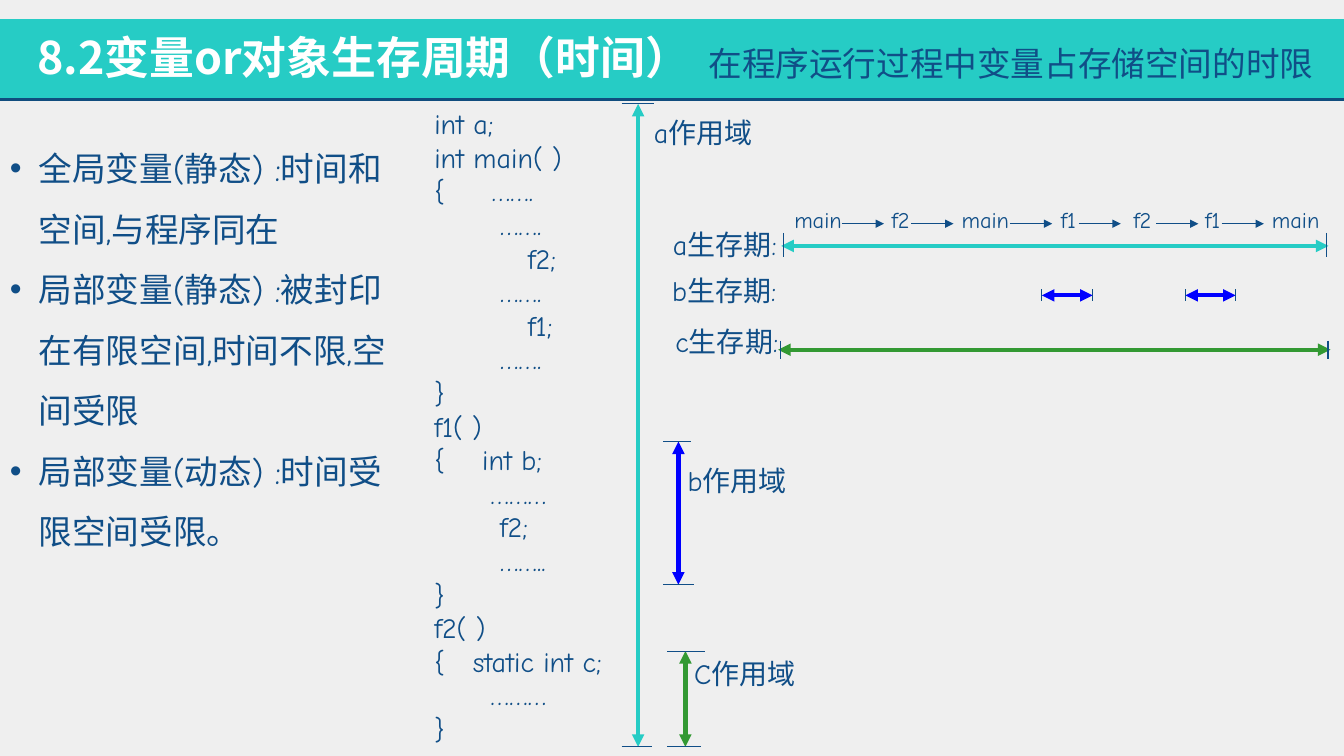
from dataclasses import dataclass

import lxml.etree
import pptx
import pptx.dml.color
import pptx.enum.shapes
import pptx.enum.text
import pptx.oxml.ns
import pptx.util

Pt = pptx.util.Pt
qn = pptx.oxml.ns.qn
ALIGN = pptx.enum.text.PP_ALIGN
ANCHOR = pptx.enum.text.MSO_ANCHOR


@dataclass(frozen=True)
class Theme:
    page: str = "EFEFEF"
    teal: str = "26CCC5"
    rule: str = "104D7E"
    ink: str = "104E87"
    white: str = "FFFFFF"
    blue: str = "0000FF"
    green: str = "339933"
    font: str = "Comic Neue"
    bold: str = "Noto Sans CJK JP"
    title: int = 32
    body: int = 24
    code: int = 20
    small: int = 16
    thin: float = 0.75
    thick: float = 3


def rgb(code):
    return pptx.dml.color.RGBColor.from_string(code)


class Board:
    def __init__(self, deck, theme):
        self.theme = theme
        self.slide = deck.slides.add_slide(deck.slide_layouts[6])
        fill = self.slide.background.fill
        fill.solid()
        fill.fore_color.rgb = rgb(theme.page)

    def rect(self, x, y, w, h, color):
        kind = pptx.enum.shapes.MSO_SHAPE.RECTANGLE
        box = self.slide.shapes.add_shape(kind, Pt(x), Pt(y), Pt(w), Pt(h))
        box.shadow.inherit = False
        box.fill.solid()
        box.fill.fore_color.rgb = rgb(color)
        box.line.fill.background()

    def line(self, x1, y1, x2, y2, color=None, width=None, ends=()):
        kind = pptx.enum.shapes.MSO_CONNECTOR.STRAIGHT
        link = self.slide.shapes.add_connector(kind, Pt(x1), Pt(y1), Pt(x2), Pt(y2))
        link.line.color.rgb = rgb(color or self.theme.ink)
        link.line.width = Pt(width or self.theme.thin)
        props = link._element.spPr
        for end in ends:
            lxml.etree.SubElement(props.find(qn("a:ln")), qn("a:" + end), type="triangle")
        lxml.etree.SubElement(props, qn("a:effectLst"))

    def span(self, x1, y1, x2, y2, color):
        self.line(x1, y1, x2, y2, color, self.theme.thick, ("headEnd", "tailEnd"))

    def text(self, text, x, y, w, h, size=20, color=None, font=None, bold=False,
             align=ALIGN.LEFT, anchor=ANCHOR.TOP, wrap=True, space=None, bullet=False):
        box = self.slide.shapes.add_textbox(Pt(x), Pt(y), Pt(w), Pt(h))
        frame = box.text_frame
        frame.word_wrap = wrap
        frame.vertical_anchor = anchor
        frame.text = text
        for para in frame.paragraphs:
            para.alignment = align
            if space:
                para.line_spacing = space
            if bullet:
                props = para._p.get_or_add_pPr()
                props.set("marL", str(Pt(20.6)))
                props.set("indent", str(-Pt(20.6)))
                lxml.etree.SubElement(props, qn("a:buFont"), typeface="Arial")
                lxml.etree.SubElement(props, qn("a:buChar"), char="•")
            for run in para.runs:
                name = font or self.theme.font
                run.font.size = Pt(size)
                run.font.bold = bold
                run.font.color.rgb = rgb(color or self.theme.ink)
                run.font.name = name
                lxml.etree.SubElement(run._r.get_or_add_rPr(), qn("a:ea"), typeface=name)

    def label(self, text, x, y, w, h, size, wrap=False):
        self.text(text, x, y, w, h, size=size, wrap=wrap,
                  align=ALIGN.CENTER, anchor=ANCHOR.MIDDLE)


POINTS = """全局变量(静态) :时间和空间,与程序同在
局部变量(静态) :被封印在有限空间,时间不限,空间受限
局部变量(动态) :时间受限空间受限。"""

CODE = """int a;
int main( )
{     …….
       …….
          f2;
       …….
          f1;
       …….
}
f1( )
{    int b;
      ………
       f2;
       ……..
}
f2( )
{   static int c;
      ………
}"""


def main():
    deck = pptx.Presentation()
    deck.slide_width, deck.slide_height = Pt(960), Pt(540)
    look = Theme()
    board = Board(deck, look)

    board.rect(0, 13.7, 960, 57.6, look.teal)
    board.line(0, 71.3, 960, 71.3, look.rule, 2)
    board.text("8.2变量or对象生存周期（时间）", 19.4, 18, 632, 46,
               size=look.title, color=look.white, font=look.bold, bold=True)
    board.text("在程序运行过程中变量占存储空间的时限", 499, 21.6, 461, 41,
               size=look.body, space=1.2)
    board.text(POINTS, 0, 87.8, 298.8, 309, size=look.body, space=1.5, bullet=True)
    board.text(CODE, 303.1, 70.2, 149.8, 468, size=look.code, anchor=ANCHOR.MIDDLE)

    scopes = [
        ("C作用域", look.green, 489.6, 465.1, 533.5, 476.6, 503.3, 500.4, 487.4, 465.1, 89.3),
        ("b作用域", look.blue, 484.6, 315.4, 417.6, 473.8, 493.9, 495.4, 483.1, 326.9, 87.1),
        ("a作用域", look.teal, 455.8, 74.2, 533.5, 444, 467.3, 465.8, 459.4, 78.5, 85.7),
    ]
    for name, color, x, top, base, left, upper, lower, tx, ty, w in scopes:
        board.span(x, top, x, base, color)
        board.line(left, top, upper, top)
        board.line(left, base, lower, base)
        board.label(name, tx, ty, w, 32, look.code, wrap=True)

    calls = [("main", 584.3), ("f2", 643.3), ("main", 703.8), ("f1", 763.2),
             ("f2", 816.1), ("f1", 866.2), ("main", 925.5)]
    for name, mid in calls:
        board.label(name, mid - 32, 143.3, 64, 26.6, look.small)
    for x in (601.2, 650.9, 721.4, 770.4, 825.8, 872.6):
        board.line(x, 159.8, x + 30.2, 159.8, ends=("tailEnd",))

    lives = [
        ("a生存期:", look.teal, 175.7, [(558, 949)], 1.4, 166.3, 183.6, 517.7, 174.6),
        ("c生存期:", look.green, 249.8, [(555.8, 950.4)], 1.8, 243.4, 256.3, 519.2, 244.1),
        ("b生存期:", look.blue, 211, [(744.2, 780.5), (846.7, 882.7)], 0, 206.6, 215,
         517.3, 207.4),
    ]
    for name, color, y, spans, inset, top, base, mid, row in lives:
        for x1, x2 in spans:
            board.span(x1, y, x2, y, color)
            for x in (x1 + inset, x2 - inset):
                board.line(x, top, x, base)
        board.label(name, mid - 50, row - 16, 100, 32, look.code)

    deck.save("out.pptx")


if __name__ == "__main__":
    main()
